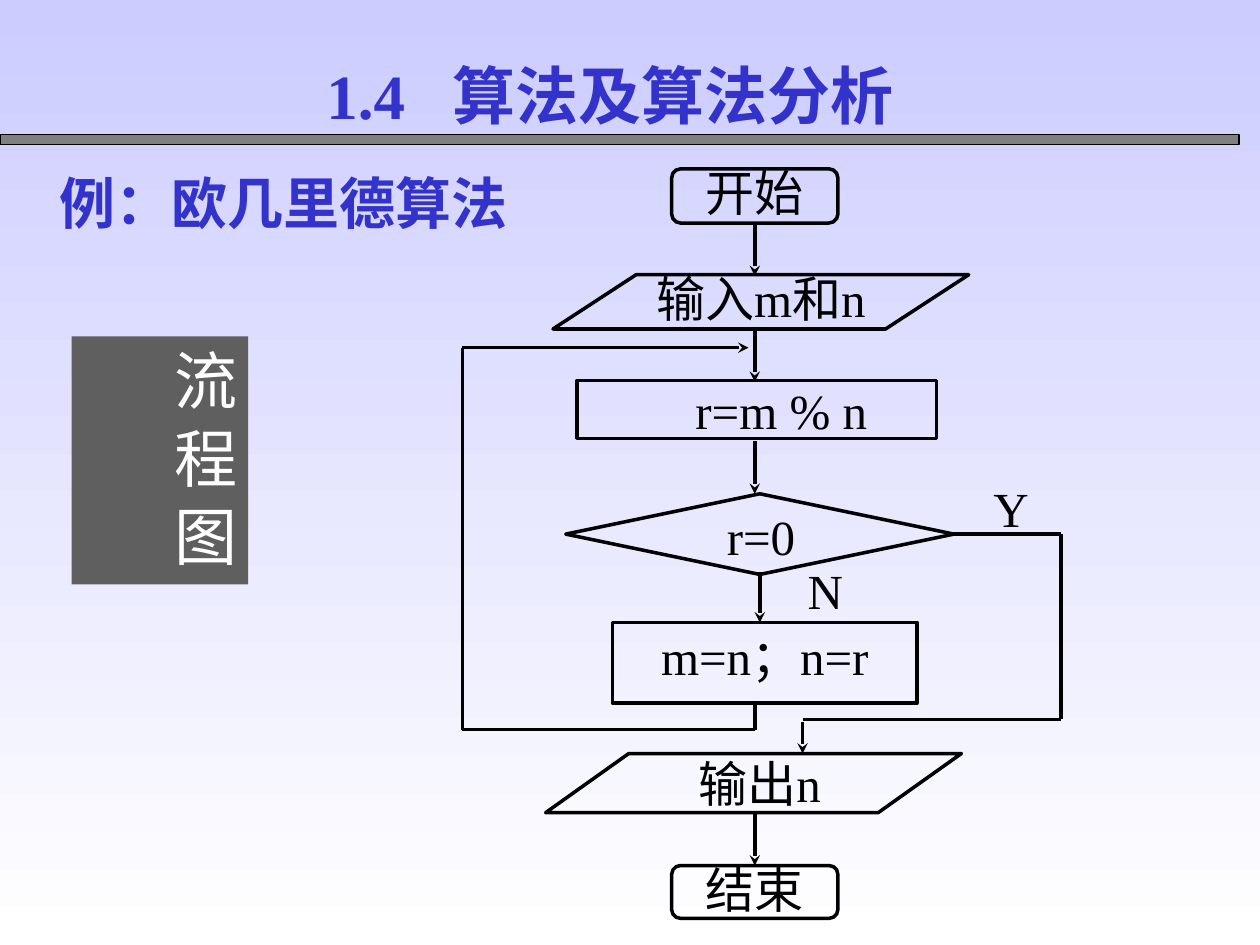
from dataclasses import dataclass
from itertools import pairwise

from lxml import etree
from pptx import Presentation
from pptx.dml.color import RGBColor
from pptx.enum.shapes import MSO_CONNECTOR, MSO_SHAPE
from pptx.enum.text import MSO_ANCHOR, MSO_AUTO_SIZE, PP_ALIGN
from pptx.oxml.ns import qn
from pptx.util import Pt

LEFT, CENTER, JUSTIFY = PP_ALIGN.LEFT, PP_ALIGN.CENTER, PP_ALIGN.JUSTIFY
TOP, NO_FIT = MSO_ANCHOR.TOP, MSO_AUTO_SIZE.NONE
STRAIGHT = MSO_CONNECTOR.STRAIGHT
RECT = MSO_SHAPE.RECTANGLE
ROUND = MSO_SHAPE.FLOWCHART_ALTERNATE_PROCESS
DATA = MSO_SHAPE.FLOWCHART_DATA
STEP = MSO_SHAPE.FLOWCHART_PROCESS
TEST = MSO_SHAPE.FLOWCHART_DECISION

COLORS = {"ink": "000000", "head": "3333CC", "bar": "808080", "side": "5F5F5F",
          "light": "FFFFFF", "sky": "CCCCFF"}
SERIF, SANS = "Times New Roman", "Arial"
NODE = {"name": SERIF, "size": Pt(28), "bold": False}
SIDE = {"name": SERIF, "size": Pt(36), "bold": False}
TITLE = {"name": SERIF, "size": Pt(36), "bold": True}
TOPIC = {"name": SANS, "size": Pt(32), "bold": True}
MID = 431.3  # main axis of the chart
LOOP = 264.2  # return path on the left
EXIT, OUT = 606.2, 458.6  # exit path on the right


@dataclass
class Box:
    kind: MSO_SHAPE
    at: tuple
    text: str = ""
    pad: tuple = (0, 0, 0, 0)
    gap: float = 1.0


@dataclass
class Label:
    at: tuple
    text: str


@dataclass
class Link:
    start: tuple
    end: tuple
    arrow: bool = False


BOXES = [
    Box(ROUND, (383.8, 96.5, 95, 31), "开始", (4, 0, 4, 0), 0.85),
    Box(DATA, (316, 157, 237.6, 31), "输入m和n", gap=0.9),
    Box(STEP, (329.8, 217.4, 205.2, 33.1), "r=m % n", (28, 0, 0, 0)),
    Box(TEST, (323.3, 282.2, 221.8, 46.1)),
    Box(STEP, (349.9, 355.7, 174.2, 46.1), "m=n；n=r", (7.2, 8.6, 7.2, 0), 0.8),
    Box(DATA, (311.8, 430.6, 237.6, 33.8), "输出n", (11, 0, 4, 0)),
    Box(ROUND, (383.8, 494.6, 95, 30.2), "结束", (4, 0, 4, 0), 0.85),
]
LABELS = [
    Label((461.5, 320.4, 20.2, 25.2), "N"),
    Label((413.3, 289.4, 43.2, 25.2), "r=0"),
    Label((560.9, 273.6, 33.8, 25.2), "Y"),
]
DOWN = [(MID, 127.4, 157.7), (MID, 187.9, 218.2), (MID, 252, 282.2),
        (434.2, 326.9, 355.7), (MID, 463.7, 494.6), (OUT, 412.6, 430.6)]
BACK = [(MID, 401.8), (MID, 416.9), (LOOP, 416.9), (LOOP, 198.7), (427.7, 198.7)]
LEAVE = [(543.6, 305.3), (EXIT, 305.3), (EXIT, 411.1), (OUT, 411.1)]


def rgb(key: str) -> RGBColor:
    return RGBColor.from_string(COLORS[key])


def place(shape, at: tuple) -> None:
    for name, value in zip(("left", "top", "width", "height"), at):
        setattr(shape, name, Pt(value))


def write(shape, text: str, font: dict, color: str = "ink", align=CENTER,
          pad: tuple = (0, 0, 0, 0), gap: float = 1.0, tab: float = 0) -> None:
    """Fill a shape with one formatted paragraph."""
    frame = shape.text_frame
    form = {"word_wrap": True, "auto_size": NO_FIT, "vertical_anchor": TOP}
    sides = ("margin_left", "margin_top", "margin_right", "margin_bottom")
    form.update(zip(sides, map(Pt, pad)))
    for name, value in form.items():
        setattr(frame, name, value)
    para = frame.paragraphs[0]
    props = para._p.get_or_add_pPr()
    props.set("marL", "0")
    props.set("indent", "0")
    etree.SubElement(props, qn("a:buNone"))
    if tab:
        stops = etree.SubElement(props, qn("a:tabLst"))
        etree.SubElement(stops, qn("a:tab"), pos=str(Pt(tab)), algn="l")
    for name, value in {"alignment": align, "line_spacing": gap,
                        "space_before": Pt(0)}.items():
        setattr(para, name, value)
    run = para.add_run()
    run.text = text
    for name, value in font.items():
        setattr(run.font, name, value)
    run.font.color.rgb = rgb(color)


def add_form(slide, kind, at: tuple, fill: str = "", line: float = 0):
    """Add a preset shape; no fill name or zero line width means none."""
    shape = slide.shapes.add_shape(kind, *map(Pt, at))
    shape.shadow.inherit = False
    if fill:
        shape.fill.solid()
        shape.fill.fore_color.rgb = rgb(fill)
    else:
        shape.fill.background()
    if line:
        shape.line.color.rgb = rgb("ink")
        shape.line.width = Pt(line)
    else:
        shape.line.fill.background()
    return shape


def add_box(slide, box: Box) -> None:
    shape = add_form(slide, box.kind, box.at, line=2)
    if box.text:
        write(shape, box.text, NODE, pad=box.pad, gap=box.gap)


def add_label(slide, label: Label) -> None:
    shape = slide.shapes.add_textbox(*map(Pt, label.at))
    write(shape, label.text, NODE)


def add_link(slide, link: Link) -> None:
    line = slide.shapes.add_connector(STRAIGHT, *map(Pt, link.start + link.end))
    line.line.color.rgb = rgb("ink")
    line.line.width = Pt(2)
    if link.arrow:
        etree.SubElement(line.line._get_or_add_ln(), qn("a:tailEnd"), type="stealth")
    etree.SubElement(line._element.spPr, qn("a:effectLst"))


def main() -> None:
    deck = Presentation()
    deck.slide_width, deck.slide_height = Pt(720), Pt(540)
    slide = deck.slides.add_slide(deck.slide_layouts[1])

    back = slide.background.fill
    back.gradient()
    back.gradient_angle = 270
    for stop, key, pos in zip(back.gradient_stops, ("sky", "light"), (0, 1)):
        stop.color.rgb = rgb(key)
        stop.position = pos

    add_form(slide, RECT, (0, 77, 708, 5.8), "bar", 0.75)
    pad = (7.2, 3.6, 7.2, 3.6)
    title, topic = slide.placeholders
    place(title, (179.3, 28.8, 393, 50.4))
    write(title, "1.4\t算法及算法分析", TITLE, "head", LEFT, pad, tab=72)
    place(topic, (26.6, 92.9, 380, 46))
    write(topic, "例：欧几里德算法", TOPIC, "head", LEFT, pad)

    for box in BOXES:
        add_box(slide, box)
    for label in LABELS:
        add_label(slide, label)
    links = [Link((x, top), (x, end), True) for x, top, end in DOWN]
    links += [Link(*ends) for ends in pairwise(LEAVE)]
    links += [Link(*ends, ends[1] == BACK[-1]) for ends in pairwise(BACK)]
    for link in links:
        add_link(slide, link)

    side = add_form(slide, RECT, (41, 192.2, 100.8, 141.8), "side")
    write(side, "流 程 图", SIDE, "light", JUSTIFY, (3.6, 7.2, 3.6, 7.2))
    side.text_frame._txBody.bodyPr.set("vert", "eaVert")
    deck.save("out.pptx")


if __name__ == "__main__":
    main()
